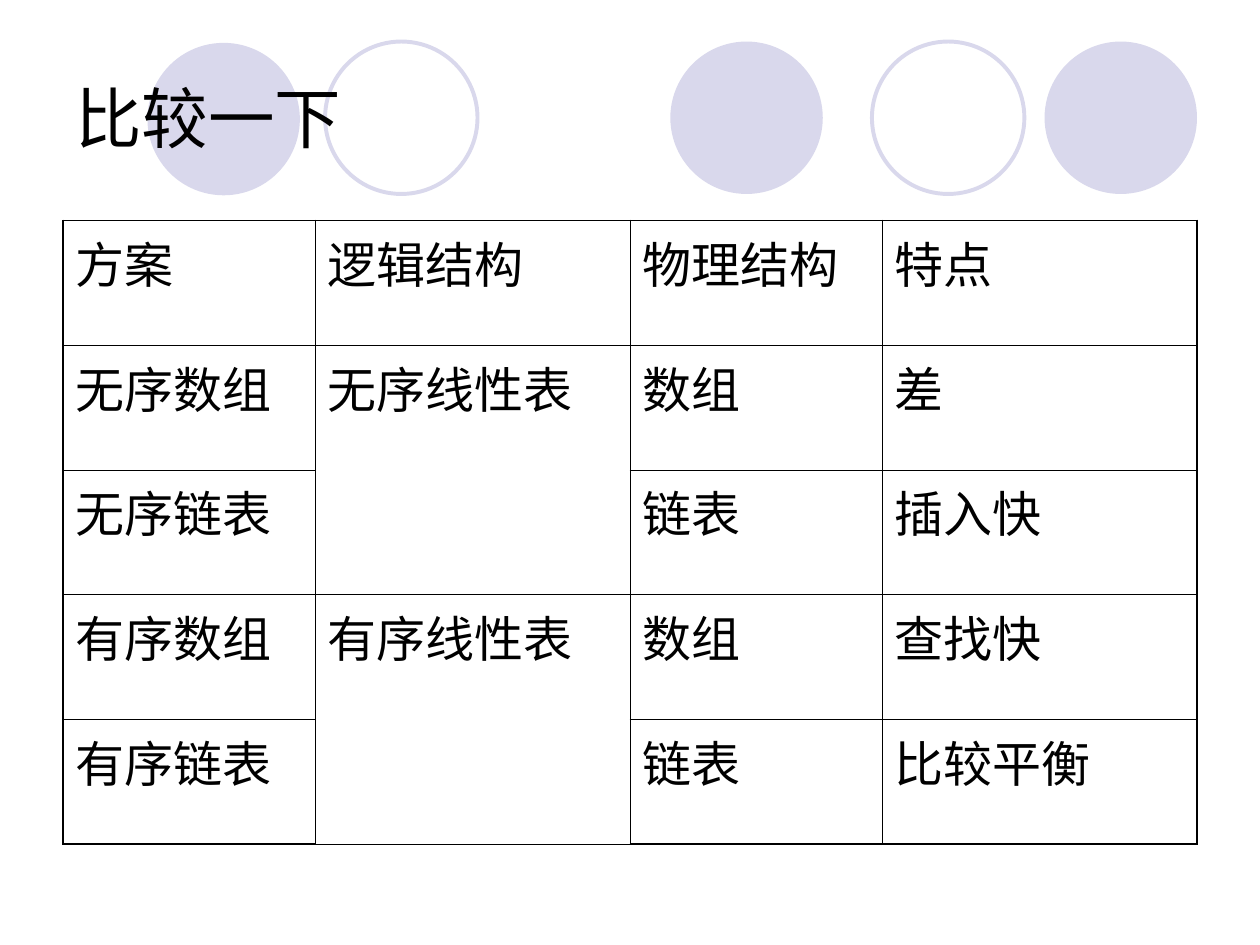
import pptx
import pptx.util
import pptx.dml.color
import pptx.enum.shapes
import pptx.enum.text
from lxml import etree
from pptx.util import Inches, Pt

TITLE = "比较一下"
ROWS = [
    ["方案", "逻辑结构", "物理结构", "特点"],
    ["无序数组", "无序线性表", "数组", "差"],
    ["无序链表", "", "链表", "插入快"],
    ["有序数组", "有序线性表", "数组", "查找快"],
    ["有序链表", "", "链表", "比较平衡"],
]
MERGES = [(1, 2), (3, 4)]
WIDTHS = [2, 2.5, 2, 2.5]
HEIGHT = 0.99
CIRCLES = [(5.32, 0.33, True), (8.29, 0.33, True), (1.17, 0.34, True),
           (6.92, 0.33, False), (2.58, 0.33, False)]
SIZE = 1.21
LILAC, BLACK = "D9D8EC", "000000"
THIN, THICK = 0.45, 1.08


def color(code):
    return pptx.dml.color.RGBColor.from_string(code)


def style(para, size):
    para.font.name = "Arial"
    para.font.size = Pt(size)
    para.font.color.rgb = color(BLACK)


def border(cell, sides):
    props = cell._tc.get_or_add_tcPr()
    space = "{http://schemas.openxmlformats.org/drawingml/2006/main}"
    for spot, (side, width) in enumerate(sides.items()):
        line = etree.Element(space + "ln" + side, w=str(int(Pt(width))))
        fill = etree.SubElement(line, space + "solidFill")
        etree.SubElement(fill, space + "srgbClr", val=BLACK)
        props.insert(spot, line)


def circle(slide, left, top, solid):
    shape = slide.shapes.add_shape(pptx.enum.shapes.MSO_SHAPE.OVAL, Inches(left),
                                   Inches(top), Inches(SIZE), Inches(SIZE))
    shape.shadow.inherit = False
    if solid:
        shape.fill.solid()
        shape.fill.fore_color.rgb = color(LILAC)
        shape.line.fill.background()
    else:
        shape.fill.background()
        shape.line.color.rgb = color(LILAC)
        shape.line.width = Pt(2.25)


def title(slide):
    box = slide.shapes.add_textbox(Inches(0.5), Inches(0.3), Inches(9), Inches(1.25))
    frame = box.text_frame
    frame.word_wrap = True
    frame.vertical_anchor = pptx.enum.text.MSO_ANCHOR.MIDDLE
    frame.text = TITLE
    style(frame.paragraphs[0], 38)


def grid(slide):
    last, end = len(ROWS) - 1, len(WIDTHS) - 1
    table = slide.shapes.add_table(
        len(ROWS), len(WIDTHS), Inches(0.5), Inches(1.75),
        Inches(sum(WIDTHS)), Inches(HEIGHT * len(ROWS))).table
    table.first_row = table.horz_banding = False
    for column, width in zip(table.columns, WIDTHS):
        column.width = Inches(width)
    for r, row in enumerate(ROWS):
        table.rows[r].height = Inches(HEIGHT)
        for c, text in enumerate(row):
            cell = table.cell(r, c)
            cell.text = text
            cell.fill.background()
            style(cell.text_frame.paragraphs[0], 28)
            edges = {"L": c == 0, "R": c == end, "T": r == 0, "B": r == last}
            border(cell, {side: THICK if outer else THIN
                          for side, outer in edges.items()})
    for first, final in MERGES:
        table.cell(first, 1).merge(table.cell(final, 1))


def main():
    deck = pptx.Presentation()
    deck.slide_width, deck.slide_height = Inches(10), Inches(7.5)
    slide = deck.slides.add_slide(deck.slide_layouts[6])
    for item in CIRCLES:
        circle(slide, *item)
    title(slide)
    grid(slide)
    deck.save("out.pptx")


if __name__ == "__main__":
    main()
